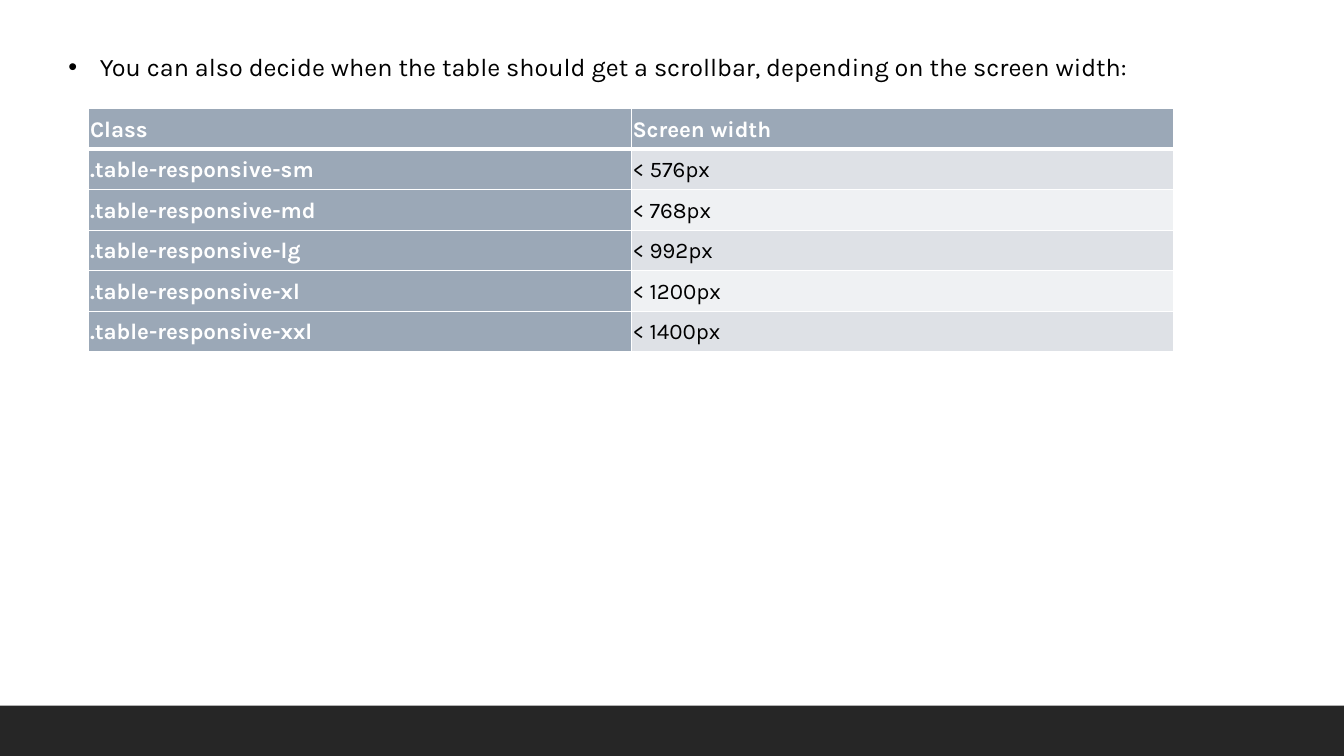
import pptx
import pptx.dml.color
import pptx.enum.shapes
import pptx.enum.text
import pptx.oxml
import pptx.oxml.ns
import pptx.util
from pptx.util import Cm, Pt

COLORS = {
    "text": "000000",
    "white": "FFFFFF",
    "footer": "262626",
    "header": "9BA8B7",
    "odd": "DEE1E6",
    "even": "EFF1F3",
}
BREAKPOINTS = [
    ("Class", "Screen width"),
    (".table-responsive-sm", "< 576px"),
    (".table-responsive-md", "< 768px"),
    (".table-responsive-lg", "< 992px"),
    (".table-responsive-xl", "< 1200px"),
    (".table-responsive-xxl", "< 1400px"),
]


def rgb(name):
    return pptx.dml.color.RGBColor.from_string(COLORS[name])


class SlideBuilder:
    font = "Karla"

    def __init__(self, prs):
        self.slide = prs.slides.add_slide(prs.slide_layouts[1])
        title = self.slide.shapes.title
        title.element.getparent().remove(title.element)

    def add_run(self, p, text, size, color, bold=False):
        r = p.add_run()
        r.text = text
        r.font.name = self.font
        r.font.size = Pt(size)
        r.font.bold = bold
        r.font.color.rgb = rgb(color)

    def bar(self, left, top, width, height, color):
        sp = self.slide.shapes.add_shape(
            pptx.enum.shapes.MSO_SHAPE.RECTANGLE, left, top, width, height)
        sp.shadow.inherit = False
        sp.fill.solid()
        sp.fill.fore_color.rgb = rgb(color)
        sp.line.fill.background()

    def bullets(self, left, top, width, height, items):
        sp = self.slide.placeholders[1]
        sp.left, sp.top, sp.width, sp.height = left, top, width, height
        tf = sp.text_frame
        tf.word_wrap = True
        tf.auto_size = pptx.enum.text.MSO_AUTO_SIZE.NONE
        tf.vertical_anchor = pptx.enum.text.MSO_ANCHOR.TOP
        for i, text in enumerate(items):
            p = tf.add_paragraph() if i else tf.paragraphs[0]
            pPr = p._p.get_or_add_pPr()
            pPr.set("marL", str(Cm(0.79)))
            pPr.set("indent", str(-Cm(0.79)))
            bullet = pptx.oxml.parse_xml(
                f'<a:buChar {pptx.oxml.ns.nsdecls("a")} char="•"/>')
            pPr.append(bullet)
            p.space_before = Pt(0)
            self.add_run(p, text, 18, "text")

    def border(self, cell, side, points):
        """Draw one white cell edge; side is L, R, T or B."""
        line = pptx.oxml.parse_xml(
            f'<a:ln{side} {pptx.oxml.ns.nsdecls("a")} w="{Pt(points)}">'
            f'<a:solidFill><a:srgbClr val="{COLORS["white"]}"/></a:solidFill>'
            f'</a:ln{side}>')
        cell._tc.get_or_add_tcPr().append(line)

    def table(self, left, top, width, row_height, rows):
        """Add a banded table with a strong first row and first column."""
        table = self.slide.shapes.add_table(
            len(rows), len(rows[0]), left, top, width,
            row_height * len(rows)).table
        for i, row in enumerate(rows):
            table.rows[i].height = row_height
            for j, text in enumerate(row):
                strong = i == 0 or j == 0
                band = "odd" if i % 2 else "even"
                cell = table.cell(i, j)
                for side in "LRTB":
                    under_header = (i, side) in ((0, "B"), (1, "T"))
                    self.border(cell, side, 3 if under_header else 1)
                cell.fill.solid()
                cell.fill.fore_color.rgb = rgb("header" if strong else band)
                cell.vertical_anchor = pptx.enum.text.MSO_ANCHOR.MIDDLE
                cell.margin_left = cell.margin_right = Cm(0.03)
                cell.margin_top = cell.margin_bottom = Cm(0.03)
                p = cell.text_frame.paragraphs[0]
                p.line_spacing = 1.07
                p.space_after = Pt(8)
                self.add_run(p, text, 16, "white" if strong else "text", strong)


def main():
    prs = pptx.Presentation()
    prs.slide_width, prs.slide_height = Cm(33.87), Cm(19.05)
    s = SlideBuilder(prs)
    s.bar(Cm(0), Cm(17.78), prs.slide_width, Cm(1.27), "footer")
    s.bullets(Cm(1.47), Cm(1.17), Cm(30.96), Cm(3.58), [
        "You can also decide when the table should get a scrollbar, "
        "depending on the screen width:"])
    s.table(Cm(2.24), Cm(2.74), Cm(27.34), Cm(1.02), BREAKPOINTS)
    prs.save("out.pptx")


if __name__ == "__main__":
    main()
